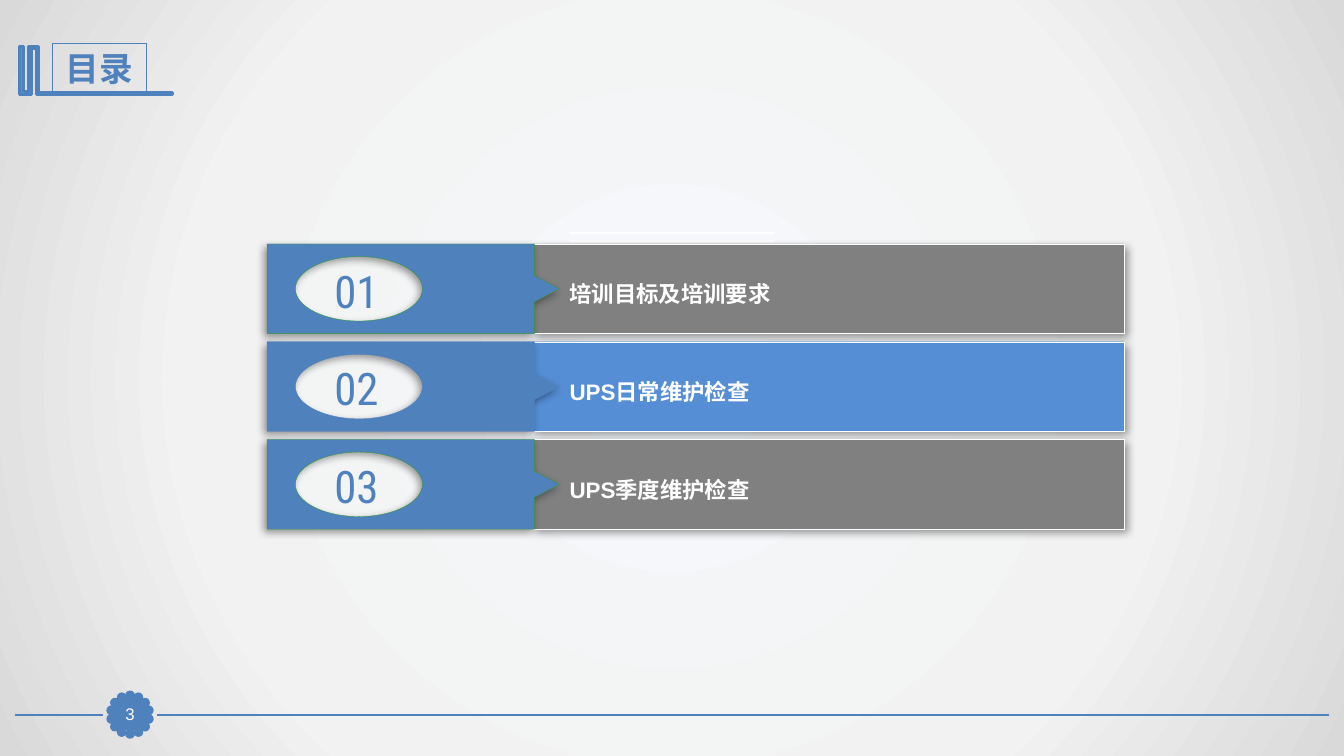
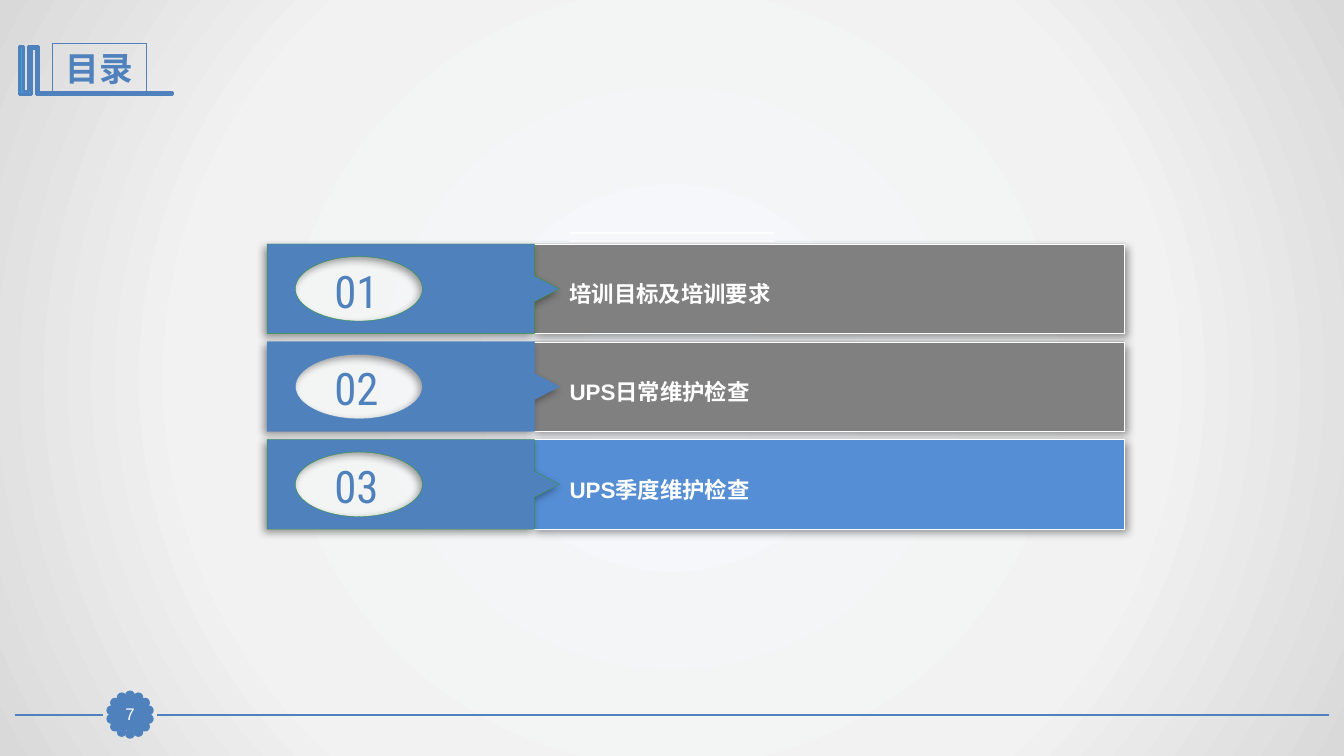
from math import cos, pi, sin

from lxml.etree import SubElement
from pptx import Presentation
from pptx.dml.color import RGBColor
from pptx.enum.shapes import MSO_CONNECTOR, MSO_SHAPE
from pptx.enum.text import MSO_ANCHOR, MSO_AUTO_SIZE, PP_ALIGN
from pptx.oxml.ns import qn
from pptx.util import Inches, Pt

# Content
TITLE = "目录"
TOPICS = ["培训目标及培训要求", "UPS日常维护检查", "UPS季度维护检查"]
AGENDAS = [{"page": "3", "current": 1}, {"page": "7", "current": 2}]

# Shared style
BLUE = RGBColor(0x4F, 0x81, 0xBD)
BRIGHT_BLUE = RGBColor(0x55, 0x8E, 0xD5)
CYAN = RGBColor(0x28, 0xA9, 0xD6)
GREEN = RGBColor(0x33, 0x99, 0x33)
GRAY = RGBColor(0x80, 0x80, 0x80)
WHITE = RGBColor(0xFF, 0xFF, 0xFF)
BACKDROP = [(0, "F6F9FC"), (63, "F2F2F2"), (100, "D9D9D9")]
TAG_EDGES = [GREEN, BLUE, GREEN]
HEADING_FONT, BODY_FONT = "Roboto Condensed", "Arial"

# Agenda grid, in inches
ROW_TOP, ROW_STEP, ROW_HEIGHT = 2.42, 0.97, 0.89
TAG_LEFT, TAG_RIGHT, TAG_TIP = 2.65, 5.3, 5.55
HOLE_X, HOLE_RX, HOLE_RY = 3.56, 0.63, 0.32
BADGE_X, BADGE_Y, BADGE_RADIUS, DOT, DOT_COUNT = 1.29, 7.09, 0.19, 0.07, 14
BOOK = [(0.37, 0.46), (0.38, 0.46), (0.38, 0.92), (1.71, 0.92), (1.71, 0.94),
        (0.36, 0.94), (0.36, 0.48), (0.31, 0.48), (0.31, 0.94), (0.19, 0.94),
        (0.19, 0.46), (0.23, 0.46), (0.23, 0.91), (0.28, 0.91), (0.28, 0.46)]


def box(left, top, width, height):
    return [Inches(value) for value in (left, top, width, height)]


def write(shape, text, size, color, font=BODY_FONT, bold=False,
          align=PP_ALIGN.LEFT, anchor=MSO_ANCHOR.TOP, grow=False, margin=None):
    frame = shape.text_frame
    frame.word_wrap = True
    frame.vertical_anchor = anchor
    frame.auto_size = MSO_AUTO_SIZE.SHAPE_TO_FIT_TEXT if grow else MSO_AUTO_SIZE.NONE
    if margin is not None:
        frame.margin_left = frame.margin_right = margin
        frame.margin_top = frame.margin_bottom = margin
    paragraph = frame.paragraphs[0]
    paragraph.alignment = align
    run = paragraph.add_run()
    run.text = text
    run.font.name, run.font.size, run.font.bold = font, Pt(size), bold
    run.font.color.rgb = color


def paint(shape, fill, edge, weight, shadow_angle=None):
    shape.fill.solid()
    shape.fill.fore_color.rgb = fill
    shape.line.color.rgb = edge
    shape.line.width = Pt(weight)
    shape.shadow.inherit = False
    if shadow_angle is not None:
        effects = shape._element.spPr.find(qn("a:effectLst"))
        shadow = SubElement(effects, qn("a:outerShdw"), blurRad=str(Pt(6)),
                            dist=str(Pt(3)), dir=str(shadow_angle * 60000),
                            algn="ctr", rotWithShape="0")
        black = SubElement(shadow, qn("a:srgbClr"), val="000000")
        SubElement(black, qn("a:alpha"), val="40000")


def rule(shapes, left, right, y, color, weight):
    line = shapes.add_connector(
        MSO_CONNECTOR.STRAIGHT, Inches(left), Inches(y), Inches(right), Inches(y))
    line.line.color.rgb = color
    line.line.width = Pt(weight)
    SubElement(line._element.spPr, qn("a:effectLst"))


def outline(shapes, points):
    corners = [(Inches(x), Inches(y)) for x, y in points]
    builder = shapes.build_freeform(*corners[0], scale=1.0)
    builder.add_line_segments(corners[1:], close=True)
    return builder.convert_to_shape()


def cut_oval(shape, x, y, radius_x, radius_y):
    """Add an oval contour of four curves, run against the outer contour."""
    contour = shape._element.spPr.find(".//" + qn("a:path"))
    bend = 0.55

    def add_command(name, *points):
        command = SubElement(contour, qn("a:" + name))
        for dx, dy in points:
            SubElement(command, qn("a:pt"),
                       x=str(Inches(x + dx * radius_x) - shape.left),
                       y=str(Inches(y + dy * radius_y) - shape.top))

    dx, dy = 0, -1
    add_command("moveTo", (dx, dy))
    for _ in range(4):
        next_dx, next_dy = dy, -dx
        add_command("cubicBezTo", (dx + bend * next_dx, dy + bend * next_dy),
                    (next_dx + bend * dx, next_dy + bend * dy), (next_dx, next_dy))
        dx, dy = next_dx, next_dy
    add_command("close")


def set_backdrop(master):
    fill = master.background.fill
    fill.gradient()
    gradient = master._element.cSld.find(".//" + qn("a:gradFill"))
    for child in list(gradient):
        gradient.remove(child)
    stops = SubElement(gradient, qn("a:gsLst"))
    for position, color in BACKDROP:
        stop = SubElement(stops, qn("a:gs"), pos=str(position * 1000))
        SubElement(stop, qn("a:srgbClr"), val=color)
    radial = SubElement(gradient, qn("a:path"), path="circle")
    SubElement(radial, qn("a:fillToRect"), l="50000", t="50000", r="50000", b="50000")


def add_furniture(slide, layout):
    """Draw the shared parts once and move them to the layout."""
    shapes = slide.shapes
    rule(shapes, 13.18, 1.56, 7.09, BLUE, 1.25)
    rule(shapes, 1.02, 0.15, 7.09, BLUE, 1.25)
    scallops = shapes.add_group_shape().shapes
    for step in range(DOT_COUNT):
        angle = 2 * pi * step / DOT_COUNT
        x = BADGE_X + BADGE_RADIUS * sin(angle) - DOT / 2
        y = BADGE_Y - BADGE_RADIUS * cos(angle) - DOT / 2
        paint(scallops.add_shape(MSO_SHAPE.OVAL, *box(x, y, DOT, DOT)), BLUE, BLUE, 2)
    paint(outline(shapes, BOOK), CYAN, BLUE, 2)
    for part in list(shapes):
        if not part.is_placeholder:
            layout.shapes._spTree.append(part._element)
    for number, properties in enumerate(layout._element.iter(qn("p:cNvPr")), 1):
        properties.set("id", str(number))


def add_heading(slide, page):
    title = slide.shapes.title
    title.left, title.top, title.width, title.height = box(0.52, 0.43, 0.93, 0.5)
    title.line.color.rgb = BLUE
    title.line.width = Pt(0.75)
    write(title, TITLE, 24, BLUE, HEADING_FONT, bold=True,
          align=PP_ALIGN.CENTER, anchor=MSO_ANCHOR.MIDDLE)
    badge = slide.shapes.add_shape(MSO_SHAPE.RECTANGLE, *box(1.13, 6.93, 0.32, 0.31))
    paint(badge, BLUE, BLUE, 0.75)
    write(badge, page, 12, WHITE, align=PP_ALIGN.CENTER,
          anchor=MSO_ANCHOR.MIDDLE, margin=0)


def add_topic(slide, index, topic, is_current):
    row = slide.shapes.add_group_shape().shapes
    top = ROW_TOP + index * ROW_STEP
    middle, bottom = top + ROW_HEIGHT / 2, top + ROW_HEIGHT
    bar = row.add_shape(MSO_SHAPE.RECTANGLE, *box(5.28, top, 5.87, ROW_HEIGHT))
    paint(bar, BRIGHT_BLUE if is_current else GRAY, WHITE, 0.25, shadow_angle=45)
    # Pointed tag with an oval cut-out
    tag = outline(row, [
        (TAG_LEFT, top), (TAG_RIGHT, top), (TAG_RIGHT, middle - 0.13),
        (TAG_TIP, middle), (TAG_RIGHT, middle + 0.13), (TAG_RIGHT, bottom),
        (TAG_LEFT, bottom)])
    cut_oval(tag, HOLE_X, middle, HOLE_RX, HOLE_RY)
    paint(tag, BLUE, TAG_EDGES[index], 0.25, shadow_angle=135)
    # Number and label
    number = row.add_textbox(*box(3.03, top + 0.14, 1.01, 0.64))
    write(number, f"{index + 1:02}", 32, BLUE, HEADING_FONT, grow=True,
          align=PP_ALIGN.CENTER, anchor=MSO_ANCHOR.MIDDLE)
    label = row.add_textbox(*box(TAG_TIP, top + 0.31, 5.61, 0.37))
    write(label, topic, 16, WHITE, bold=True, grow=True)


def main():
    prs = Presentation()
    prs.slide_width, prs.slide_height = Inches(13.33), Inches(7.5)
    set_backdrop(prs.slide_master)
    layout = prs.slide_layouts.get_by_name("Title Only")
    slides = [prs.slides.add_slide(layout) for _ in AGENDAS]
    add_furniture(slides[0], layout)
    for slide, agenda in zip(slides, AGENDAS):
        add_heading(slide, agenda["page"])
        for y in (2.31, 2.39):
            rule(slide.shapes, 5.64, 7.69, y, WHITE, 1.5)
        for index, topic in enumerate(TOPICS):
            add_topic(slide, index, topic, index == agenda["current"])
    prs.save("out.pptx")


if __name__ == "__main__":
    main()
